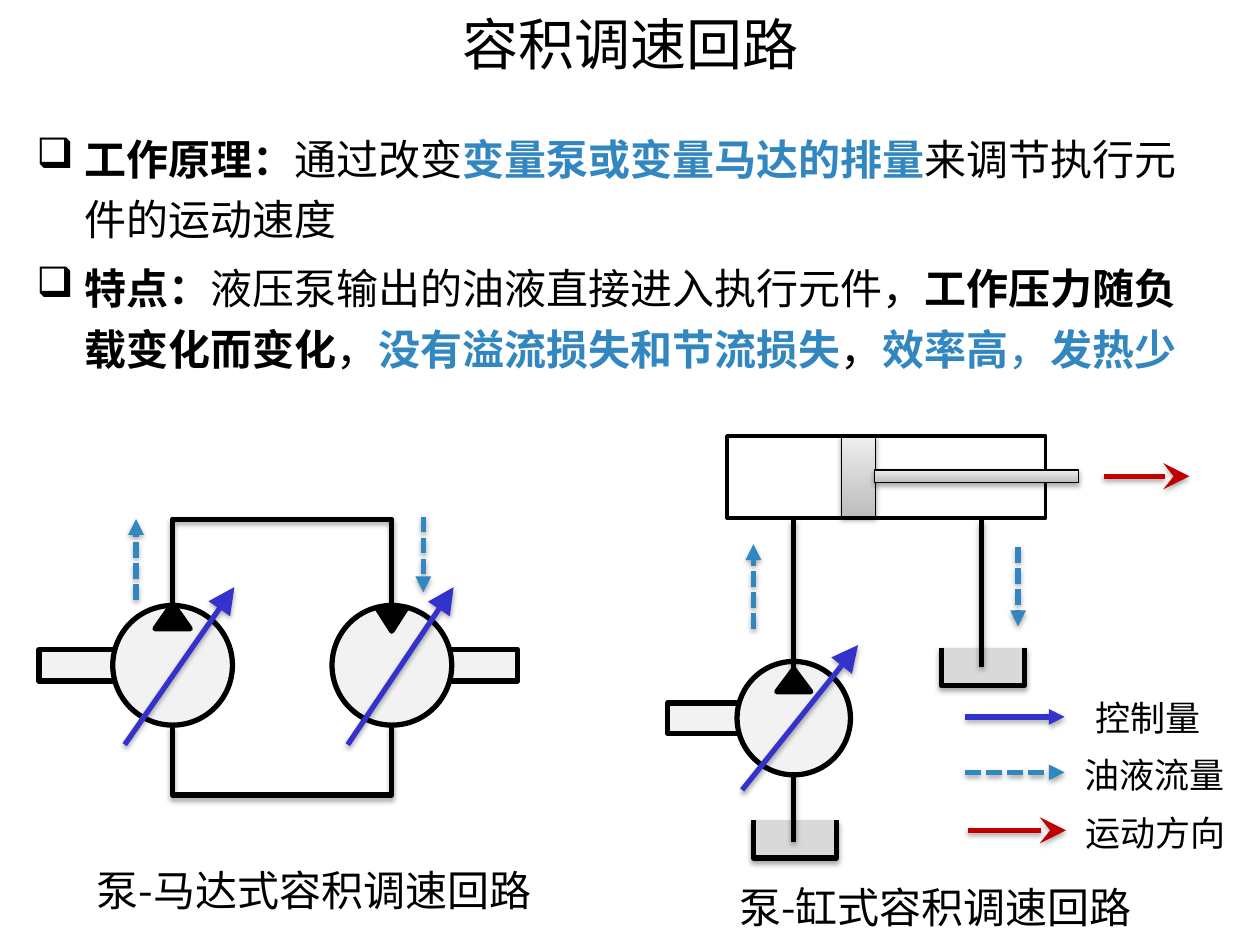
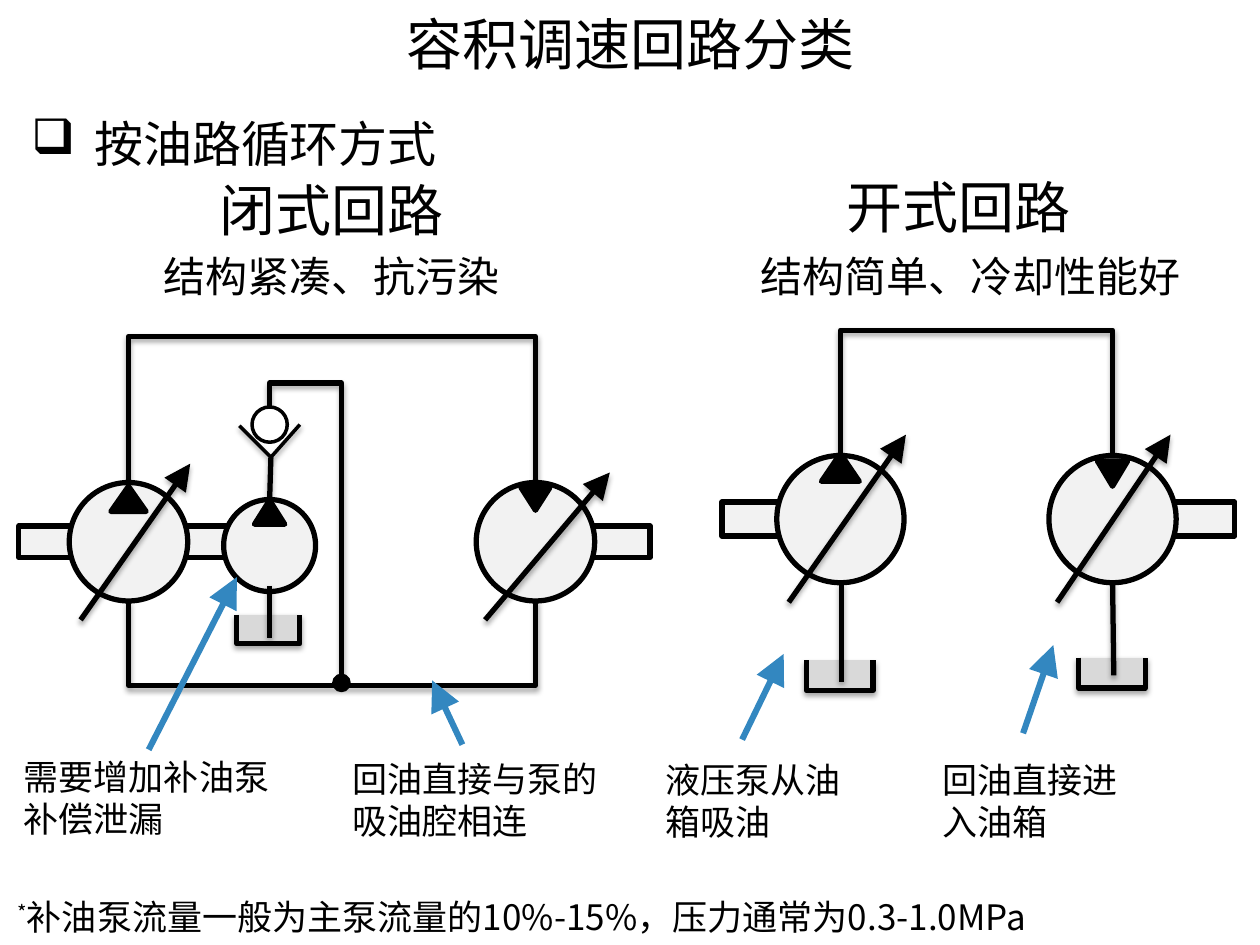
from dataclasses import dataclass

from lxml import etree
from pptx import Presentation
from pptx import util as u
from pptx.dml.color import RGBColor
from pptx.enum import dml, shapes, text as tx
from pptx.oxml.ns import qn


@dataclass(frozen=True)
class Theme:
    font: str = "Noto Sans CJK SC"
    black: str = "000000"
    white: str = "FFFFFF"
    body: str = "F2F2F2"
    oil: str = "D9D9D9"
    metal: tuple = ("BDBDBD", "EEEEEE")
    control: str = "3333CC"
    accent: str = "3387C0"
    motion: str = "C00000"
    title: int = 32
    heading: int = 28
    text: int = 24
    label: int = 20
    heavy: float = 3
    medium: float = 2
    thin: float = 0.75
    callout: float = 3.5


T = Theme()
CENTER = tx.PP_ALIGN.CENTER
TITLE_BOX = (1.46, 0, 7.09, 0.68)

# Run styles: b bold, a accent colour, s superscript
PRINCIPLES = [
    [("工作原理：", "b"), ("通过改变", ""), ("变量泵或变量马达的排量", "ab"),
     ("来调节执行元件的运动速度", "")],
    [("特点：", "b"), ("液压泵输出的油液直接进入执行元件，", ""),
     ("工作压力随负载变化而变化", "b"), ("，", ""),
     ("没有溢流损失和节流损失", "ab"), ("，", ""),
     ("效率高", "ab"), ("，", "a"), ("发热少", "ab")],
]

# Arrow styles: colour, width, dash, head type, head size, shadow
ARROWS = {
    "control": (T.control, T.heavy, False, "triangle", "lg", True),
    "control key": (T.control, T.heavy, False, "triangle", "med", True),
    "adjust": (T.black, T.heavy, False, "triangle", "lg", True),
    "flow": (T.accent, T.heavy, True, "triangle", "med", True),
    "motion": (T.motion, T.heavy, False, "stealth", "lg", True),
    "callout": (T.accent, T.callout, False, "triangle", "lg", False),
}

# Units: centre x, centre y, diameter, shafts (left, width, height),
# triangle (top, width, height), is motor
PRINCIPLE = {
    "title": "容积调速回路",
    "units": [
        (1.37, 5.28, 0.95, [(0.31, 0.64, 0.25)], (4.79, 0.28, 0.2), False),
        (3.11, 5.28, 0.95, [(3.47, 0.64, 0.25)], (4.83, 0.23, 0.18), True),
        (6.3, 5.7, 0.9, [(5.3, 0.61, 0.24)], (5.31, 0.27, 0.18), False),
    ],
    "tanks": [(5.98, 6.51, 0.66, 0.3), (7.47, 5.14, 0.66, 0.3)],
    "pipes": [
        [(1.37, 4.82), (1.37, 4.12), (3.11, 4.12), (3.11, 4.83)],
        [(1.37, 5.76), (1.37, 6.31), (3.11, 6.31), (3.11, 5.75)],
        [(6.3, 6.15), (6.3, 6.68)],
        [(7.79, 4.13), (7.79, 5.29)],
        [(6.3, 4.12), (6.3, 5.31)],
    ],
    "arrows": [
        ("control", (0.99, 5.91), (1.86, 4.66)),
        ("control", (2.76, 5.91), (3.6, 4.66)),
        ("control", (5.89, 6.27), (6.81, 5.12)),
        ("flow", (1.08, 4.76), (1.08, 4.12)),
        ("flow", (3.36, 4.1), (3.36, 4.7)),
        ("flow", (5.98, 4.99), (5.98, 4.32)),
        ("flow", (8.08, 4.34), (8.08, 4.97)),
        ("motion", (8.76, 3.78), (9.44, 3.78)),
        ("control key", (7.66, 5.69), (8.45, 5.69)),
        ("flow", (7.66, 6.13), (8.45, 6.13)),
        ("motion", (7.68, 6.59), (8.46, 6.59)),
    ],
    "texts": [
        ("泵-马达式容积调速回路", (0.58, 6.81, 3.82, 0.51), T.text, CENTER),
        ("泵-缸式容积调速回路", (5.6, 6.95, 3.65, 0.48), T.text, CENTER),
        ("控制量", (8.48, 5.48, 1.26, 0.4), T.label, CENTER),
        ("油液流量", (8.41, 5.93, 1.51, 0.4), T.label, CENTER),
        ("运动方向", (8.46, 6.39, 1.42, 0.4), T.label, CENTER),
    ],
}

CLASSES = {
    "title": "容积调速回路分类",
    "units": [
        (1.02, 4.3, 0.94, [(0.15, 0.46, 0.25), (1.29, 0.64, 0.25)],
         (3.86, 0.28, 0.2), False),
        (2.14, 4.33, 0.73, [], (3.97, 0.24, 0.19), False),
        (4.25, 4.3, 0.94, [(4.61, 0.55, 0.25)], (3.87, 0.23, 0.18), True),
        (6.67, 4.12, 1.01, [(5.73, 0.49, 0.27)], (3.6, 0.3, 0.22), False),
        (8.83, 4.12, 1.01, [(9.21, 0.59, 0.27)], (3.66, 0.24, 0.2), True),
    ],
    "tanks": [(1.88, 4.88, 0.5, 0.23), (6.4, 5.24, 0.53, 0.24),
              (8.56, 5.22, 0.53, 0.24)],
    "pipes": [
        [(1.02, 3.83), (1.02, 2.67), (4.25, 2.67), (4.25, 3.85)],
        [(1.02, 4.77), (1.02, 5.44), (4.25, 5.44), (4.25, 4.76)],
        [(2.14, 3.36), (2.14, 3.04), (2.71, 3.04), (2.71, 5.43)],
        [(2.14, 4.65), (2.14, 5.06)],
        [(2.15, 3.63), (2.14, 3.97)],
        [(6.67, 3.62), (6.67, 2.62), (8.83, 2.62), (8.83, 3.63)],
        [(6.68, 4.63), (6.68, 5.41)],
        [(8.83, 4.62), (8.84, 5.36)],
    ],
    "arrows": [
        ("adjust", (0.64, 4.92), (1.51, 3.68)),
        ("adjust", (3.85, 4.92), (4.84, 3.75)),
        ("adjust", (6.26, 4.78), (7.19, 3.45)),
        ("adjust", (8.39, 4.78), (9.29, 3.45)),
        ("callout", (1.18, 5.95), (1.88, 4.58)),
        ("callout", (3.67, 5.91), (3.43, 5.4)),
        ("callout", (5.89, 5.87), (6.22, 5.19)),
        ("callout", (8.12, 5.82), (8.36, 5.12)),
    ],
    "texts": [
        ("闭式回路", (1.53, 1.34, 2.21, 0.51), T.title, CENTER),
        ("开式回路", (6.42, 1.32, 2.37, 0.54), T.title, CENTER),
        ("结构紧凑、抗污染", (1.2, 1.94, 2.89, 0.5), T.text, None),
        ("结构简单、冷却性能好", (5.94, 1.94, 3.57, 0.5), T.text, None),
        ("需要增加补油泵补偿泄漏", (0.09, 5.95, 2.19, 0.77), T.label, None),
        ("回油直接与泵的吸油腔相连", (2.7, 5.96, 2.27, 0.77), T.label, None),
        ("液压泵从油箱吸油", (5.18, 5.97, 1.72, 0.77), T.label, None),
        ("回油直接进入油箱", (7.38, 5.97, 1.84, 0.77), T.label, None),
    ],
}
FOOTNOTE = [[("*", "s"),
             ("补油泵流量一般为主泵流量的10%-15%，压力通常为0.3-1.0MPa", "")]]


def inches(values):
    return [u.Inches(v) for v in values]


def rgb(color):
    return RGBColor.from_string(color)


def add_text(s, content, box, size=T.label, align=None, anchor=None,
             hang=None, spacing=None):
    """Content is a string or a list of paragraphs, each a list of (text, style)."""
    if isinstance(content, str):
        content = [[(content, "")]]
    tf = s.shapes.add_textbox(*inches(box)).text_frame
    tf.word_wrap = True
    if anchor is not None:
        tf.vertical_anchor = anchor
    for i, runs in enumerate(content):
        p = tf.add_paragraph() if i else tf.paragraphs[0]
        if hang:
            pPr = p._p.get_or_add_pPr()
            pPr.set("marL", str(u.Inches(hang)))
            pPr.set("indent", str(-u.Inches(hang)))
            etree.SubElement(pPr, qn("a:buChar")).set("char", "❑")
        if align is not None:
            p.alignment = align
        if spacing:
            p.line_spacing = spacing
        if i:
            p.space_before = u.Pt(size * 0.2)
        for words, style in runs:
            r = p.add_run()
            r.text = words
            r.font.size = u.Pt(size)
            r.font.bold = "b" in style
            r.font.color.rgb = rgb(T.accent if "a" in style else T.black)
            r.font.name = T.font
            rPr = r._r.get_or_add_rPr()
            etree.SubElement(rPr, qn("a:ea")).set("typeface", T.font)
            if "s" in style:
                rPr.set("baseline", "30000")


def set_shadow(sp, on):
    spPr = sp._element.spPr
    fx = spPr.find(qn("a:effectLst"))
    if fx is None:
        fx = etree.SubElement(spPr, qn("a:effectLst"))
    if on:
        shadow = etree.SubElement(fx, qn("a:outerShdw"), blurRad=str(u.Pt(3.1)),
                                  dist=str(u.Pt(1.8)), dir="5400000",
                                  rotWithShape="0")
        color = etree.SubElement(shadow, qn("a:srgbClr"), val=T.black)
        etree.SubElement(color, qn("a:alpha"), val="35000")


def paint(sp, fill=None, width=T.heavy, shadow=False):
    """Fill is a colour, a (bottom, top) gradient pair or None."""
    sp.shadow.inherit = False
    if fill is None:
        sp.fill.background()
    elif isinstance(fill, tuple):
        sp.fill.gradient()
        sp.fill.gradient_angle = 90
        for stop, color, place in zip(sp.fill.gradient_stops, fill, (0, 1)):
            stop.color.rgb = rgb(color)
            stop.position = place
    else:
        sp.fill.solid()
        sp.fill.fore_color.rgb = rgb(fill)
    sp.line.color.rgb = rgb(T.black)
    sp.line.width = u.Pt(width)
    set_shadow(sp, shadow)


def add_part(s, kind, box, fill=None, **style):
    sp = s.shapes.add_shape(getattr(shapes.MSO_SHAPE, kind), *inches(box))
    paint(sp, fill, **style)
    return sp


def add_outline(s, points, fill=None, width=T.heavy):
    start, *rest = [inches(pt) for pt in points]
    fb = s.shapes.build_freeform(*start, scale=1.0)
    fb.add_line_segments(rest, close=False)
    paint(fb.convert_to_shape(), fill, width, shadow=True)


def add_line(s, start, end, color=T.black, width=T.heavy, dash=False,
             head=None, size="med", shadow=True):
    c = s.shapes.add_connector(shapes.MSO_CONNECTOR.STRAIGHT,
                               *inches(start + end))
    c.line.color.rgb = rgb(color)
    c.line.width = u.Pt(width)
    if dash:
        c.line.dash_style = dml.MSO_LINE.SQUARE_DOT
    if head:
        etree.SubElement(c.line._get_or_add_ln(), qn("a:tailEnd"),
                         type=head, w=size, len=size)
    set_shadow(c, shadow)


def add_unit(s, cx, cy, d, shafts, triangle, is_motor):
    """Variable pump, or motor with its triangle pointing inwards."""
    for left, w, h in shafts:
        add_part(s, "RECTANGLE", (left, cy - h / 2, w, h), T.body)
    add_part(s, "OVAL", (cx - d / 2, cy - d / 2, d, d), T.body)
    top, w, h = triangle
    sp = add_part(s, "ISOSCELES_TRIANGLE", (cx - w / 2, top, w, h), T.black)
    if is_motor:
        sp._element.spPr.find(qn("a:xfrm")).set("flipV", "1")


def add_tank(s, x, y, w, h):
    add_outline(s, [(x, y), (x, y + h), (x + w, y + h), (x + w, y)], T.oil)


def add_circuit_slide(prs, data):
    s = prs.slides.add_slide(prs.slide_layouts[6])
    add_text(s, data["title"], TITLE_BOX, size=T.title, align=CENTER,
             anchor=tx.MSO_ANCHOR.MIDDLE)
    for unit in data["units"]:
        add_unit(s, *unit)
    for tank in data["tanks"]:
        add_tank(s, *tank)
    for pipe in data["pipes"]:
        if len(pipe) == 2:
            add_line(s, *pipe)
        else:
            add_outline(s, pipe)
    for style, start, end in data["arrows"]:
        add_line(s, start, end, *ARROWS[style])
    for words, box, size, align in data["texts"]:
        add_text(s, words, box, size=size, align=align)
    return s


def add_cylinder(s):
    add_part(s, "RECTANGLE", (6.68, 3.46, 0.27, 0.64), T.metal,
             width=T.thin, shadow=True)
    add_part(s, "RECTANGLE", (5.77, 3.46, 2.53, 0.65), width=T.medium)
    add_part(s, "RECTANGLE", (6.94, 3.73, 1.62, 0.1), T.metal,
             width=T.thin, shadow=True)


def add_check_valve(s):
    add_part(s, "OVAL", (2, 3.23, 0.28, 0.28), T.white, width=T.medium)
    add_outline(s, [(1.9, 3.38), (2.15, 3.63), (2.38, 3.37)], width=T.medium)


def main():
    prs = Presentation()
    prs.slide_width, prs.slide_height = inches((10, 7.5))

    s = add_circuit_slide(prs, PRINCIPLE)
    add_cylinder(s)
    add_text(s, PRINCIPLES, (0.19, 0.93, 9.53, 2.25), size=T.text,
             hang=0.38, spacing=1.2)

    s = add_circuit_slide(prs, CLASSES)
    add_check_valve(s)
    add_part(s, "OVAL", (2.65, 5.36, 0.12, 0.12), T.black, width=T.medium)
    add_text(s, "按油路循环方式", (0.15, 0.62, 3.46, 0.72), size=T.heading,
             hang=0.5, spacing=1.5)
    add_text(s, FOOTNOTE, (0.04, 7.06, 9.9, 0.44))

    prs.save("out.pptx")


if __name__ == "__main__":
    main()
